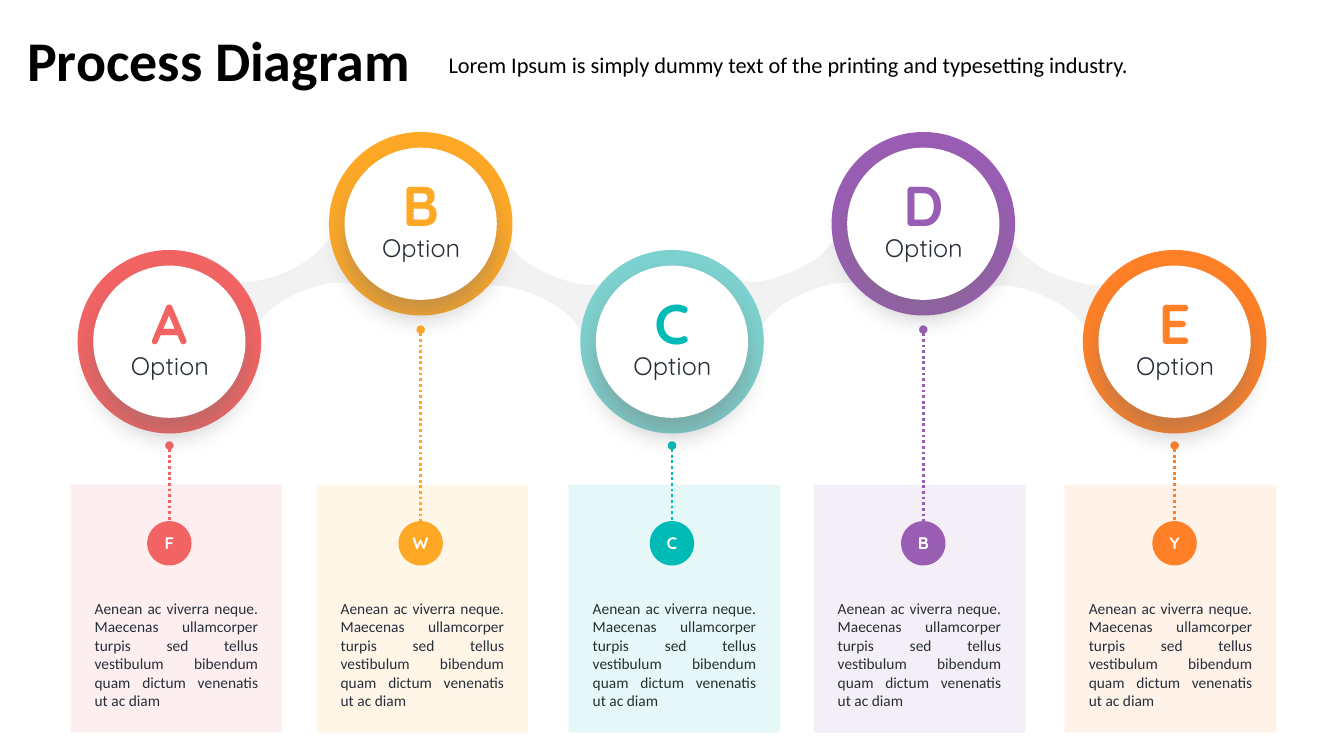
from dataclasses import dataclass
from typing import NamedTuple, Union

from lxml.etree import SubElement
from pptx import Presentation
from pptx.dml.color import RGBColor
from pptx.enum.dml import MSO_LINE
from pptx.enum.shapes import MSO_CONNECTOR, MSO_SHAPE
from pptx.enum.text import MSO_ANCHOR, MSO_AUTO_SIZE, PP_ALIGN
from pptx.oxml.ns import qn
from pptx.shapes.autoshape import Shape
from pptx.shapes.shapetree import GroupShapes, SlideShapes
from pptx.text.text import TextFrame
from pptx.util import Inches, Pt

Shapes = Union[SlideShapes, GroupShapes]


@dataclass(frozen=True)
class Theme:
    body_font: str = "Calibri"
    label_font: str = "Quicksand"
    black: str = "000000"
    white: str = "FFFFFF"
    ink: str = "272E3A"
    bridge: str = "F2F2F2"
    shadow: str = "767171"
    title: int = 40
    tagline: int = 16
    letter: int = 40
    option: int = 18
    marker: int = 12
    detail: int = 11


class Box(NamedTuple):
    left: float
    top: float
    width: float
    height: float


class Style(NamedTuple):
    font: str
    size: int
    color: str
    bold: bool = False
    align: PP_ALIGN = PP_ALIGN.CENTER


@dataclass(frozen=True)
class Step:
    letter: str
    marker: str
    color: str
    ring: str
    card_left: float
    raised: bool


class Bridge(NamedTuple):
    x: float
    y: float
    direction: int


THEME = Theme()
STEPS = [
    Step("A", "F", "F26363", "F26363", 0.7, False),
    Step("B", "W", "FFA826", "FFA826", 3.14, True),
    Step("C", "C", "00BAB5", "7DD1CE", 5.64, False),
    Step("D", "B", "995DB3", "995DB3", 8.07, True),
    Step("E", "Y", "FF8026", "FF8026", 10.56, False),
]
FIRST_CENTER, LAST_CENTER = 1.68, 11.65
PITCH = (LAST_CENTER - FIRST_CENTER) / (len(STEPS) - 1)
BRIDGES = [Bridge(10.41, 2.83, 1), Bridge(7.92, 2.8, -1),
           Bridge(5.39, 2.83, 1), Bridge(2.9, 2.8, -1)]
BRIDGE_TILT = 23.6
BRIDGE_START = (0, -0.12)
HALF_BRIDGE = [
    (0.25, -0.12), (0.45, -0.17), (0.53, -0.26),
    (0.53, 0.28), (0.53, 0.28), (0.53, 0.28),
    (0.45, 0.19), (0.24, 0.12), (0, 0.12),
]
DETAIL = ("Aenean ac viverra neque. Maecenas ullamcorper turpis sed tellus "
          "vestibulum bibendum quam dictum venenatis ut ac diam")


def write(tf: TextFrame, text: str, style: Style, wrap: bool = False) -> None:
    tf.auto_size = MSO_AUTO_SIZE.NONE
    tf.word_wrap = wrap
    p = tf.paragraphs[0]
    p.alignment = style.align
    r = p.add_run()
    r.text = text
    r.font.name = style.font
    r.font.size = Pt(style.size)
    r.font.bold = style.bold
    r.font.color.rgb = RGBColor.from_string(style.color)


def add_text(shapes: Shapes, box: Box, text: str, style: Style, wrap: bool = False) -> None:
    sp = shapes.add_textbox(*map(Inches, box))
    write(sp.text_frame, text, style, wrap)


def paint(sp: Shape, color: str) -> None:
    sp.shadow.inherit = False
    sp.fill.solid()
    sp.fill.fore_color.rgb = RGBColor.from_string(color)
    sp.line.fill.background()


def add_filled(shapes: Shapes, kind: MSO_SHAPE, box: Box, color: str) -> Shape:
    sp = shapes.add_shape(kind, *map(Inches, box))
    paint(sp, color)
    return sp


def add_disc(shapes: Shapes, x: float, y: float, size: float, color: str) -> Shape:
    box = Box(x - size / 2, y - size / 2, size, size)
    return add_filled(shapes, MSO_SHAPE.OVAL, box, color)


def add_shadow(sp: Shape) -> None:
    effects = sp.element.spPr.find(qn("a:effectLst"))
    shadow = SubElement(effects, qn("a:outerShdw"), blurRad=str(Pt(18)), dist=str(Pt(12)),
                        dir="5400000", algn="t", rotWithShape="0")
    color = SubElement(shadow, qn("a:srgbClr"), val=THEME.shadow)
    SubElement(color, qn("a:alpha"), val="40000")


def add_card(shapes: Shapes, step: Step) -> None:
    sp = add_filled(shapes, MSO_SHAPE.RECTANGLE, Box(step.card_left, 4.81, 2.1, 2.46), step.color)
    color = sp.element.spPr.find(qn("a:solidFill")).find(qn("a:srgbClr"))
    SubElement(color, qn("a:alpha"), val="10000")


def add_stem(shapes: Shapes, step: Step, x: float) -> None:
    top = 3.27 if step.raised else 4.42
    stem = shapes.add_connector(MSO_CONNECTOR.STRAIGHT, *map(Inches, (x, top, x, 5.21)))
    stem.line.color.rgb = RGBColor.from_string(step.color)
    stem.line.width = Pt(2)
    stem.line.dash_style = MSO_LINE.ROUND_DOT
    ln = stem.element.spPr.find(qn("a:ln"))
    for end in ("a:headEnd", "a:tailEnd"):
        SubElement(ln, qn(end), type="oval")
    SubElement(stem.element.spPr, qn("a:effectLst"))
    marker = add_disc(shapes, x, 5.39, 0.44, step.color)
    marker.text_frame.vertical_anchor = MSO_ANCHOR.MIDDLE
    write(marker.text_frame, step.marker, Style(THEME.label_font, THEME.marker, THEME.white, True))


def add_bridge(shapes: Shapes, bridge: Bridge) -> None:
    outline = [BRIDGE_START, *HALF_BRIDGE, *((-x, -y) for x, y in HALF_BRIDGE)]
    points = [(Inches(bridge.x + bridge.direction * x), Inches(bridge.y + y)) for x, y in outline]
    builder = shapes.build_freeform(*points[0])
    builder.add_line_segments(points[1:], close=True)
    sp = builder.convert_to_shape()
    segments = list(sp.element.iter(qn("a:lnTo")))
    for first, second, third in zip(segments[::3], segments[1::3], segments[2::3]):
        curve = SubElement(first.getparent(), qn("a:cubicBezTo"))
        first.addprevious(curve)
        for segment in (first, second, third):
            curve.append(segment[0])
            segment.getparent().remove(segment)
    sp.rotation = bridge.direction * BRIDGE_TILT
    paint(sp, THEME.bridge)


def add_badge(shapes: Shapes, step: Step, x: float) -> None:
    y = 2.22 if step.raised else 3.39
    group = shapes.add_group_shape().shapes
    add_disc(group, x, y, 1.82, step.ring)
    add_shadow(add_disc(group, x, y, 1.51, THEME.white))
    add_text(group, Box(x - 0.52, y + 0.04, 1.05, 0.4), "Option",
             Style(THEME.label_font, THEME.option, THEME.ink))
    add_text(group, Box(x - 0.3, y - 0.58, 0.6, 0.77), step.letter,
             Style(THEME.label_font, THEME.letter, step.color, True))


def fill_placeholder(sp: Shape, box: Box, text: str, style: Style) -> None:
    sp.left, sp.top, sp.width, sp.height = map(Inches, box)
    sp.text_frame.vertical_anchor = MSO_ANCHOR.TOP
    write(sp.text_frame, text, style)


def add_heading(shapes: SlideShapes, tagline: Shape) -> None:
    fill_placeholder(shapes.title, Box(0.17, 0.2, 4.04, 0.77), "Process Diagram",
                     Style(THEME.body_font, THEME.title, THEME.black, True, PP_ALIGN.LEFT))
    p = tagline.text_frame.paragraphs[0]
    p_pr = p._p.get_or_add_pPr()
    p_pr.set("marL", "0")
    p_pr.set("indent", "0")
    SubElement(p_pr, qn("a:buNone"))
    p.space_before = Pt(0)
    fill_placeholder(tagline, Box(4.22, 0.46, 7.2, 0.37),
                     "Lorem Ipsum is simply dummy text of the printing and typesetting industry.",
                     Style(THEME.body_font, THEME.tagline, THEME.black))


def main() -> None:
    prs = Presentation()
    prs.slide_width, prs.slide_height = Inches(13.33), Inches(7.5)
    s = prs.slides.add_slide(prs.slide_layouts[1])
    centers = [FIRST_CENTER + i * PITCH for i in range(len(STEPS))]
    add_heading(s.shapes, s.placeholders[1])
    for step, x in zip(STEPS, centers):
        add_card(s.shapes, step)
        add_stem(s.shapes, step, x)
    for bridge in BRIDGES:
        add_bridge(s.shapes, bridge)
    for step, x in zip(STEPS, centers):
        add_text(s.shapes, Box(step.card_left + 0.14, 5.89, 1.82, 1.21), DETAIL,
                 Style(THEME.body_font, THEME.detail, THEME.ink, align=PP_ALIGN.JUSTIFY), True)
        add_badge(s.shapes, step, x)
    prs.save("out.pptx")


if __name__ == "__main__":
    main()
